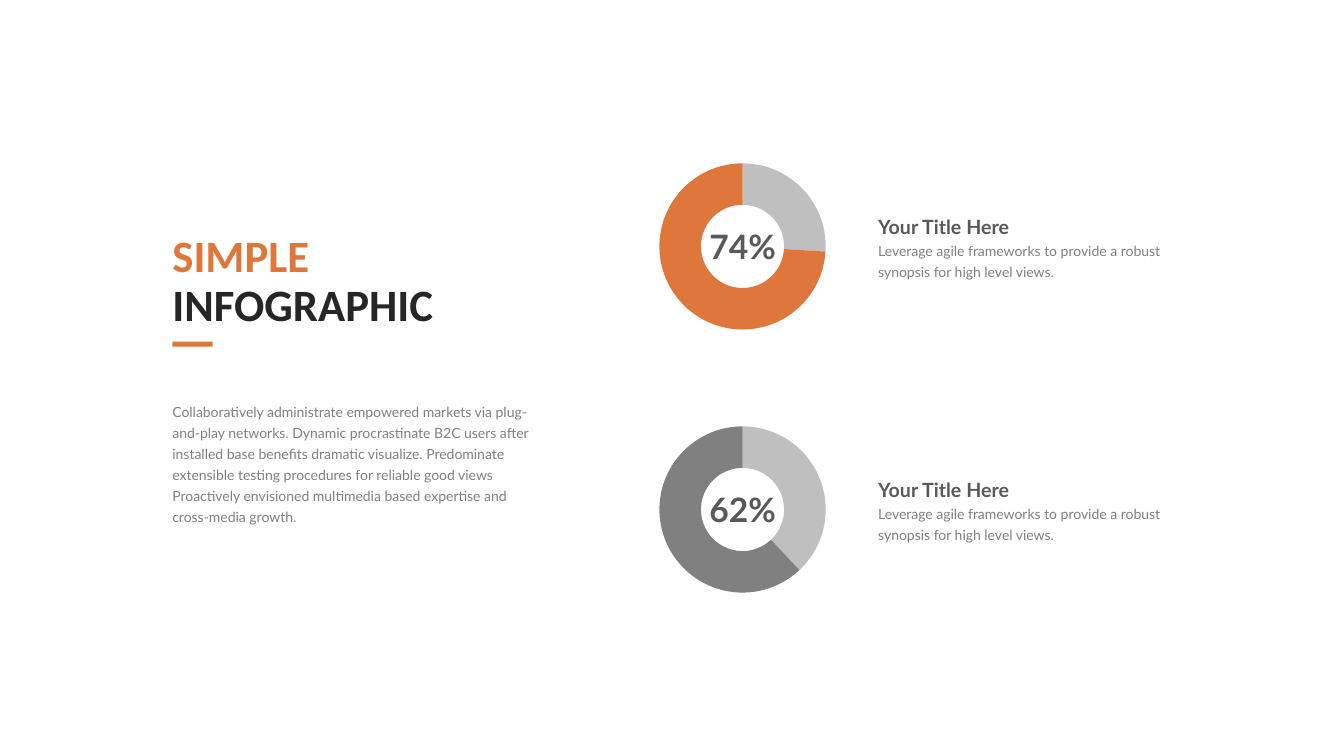
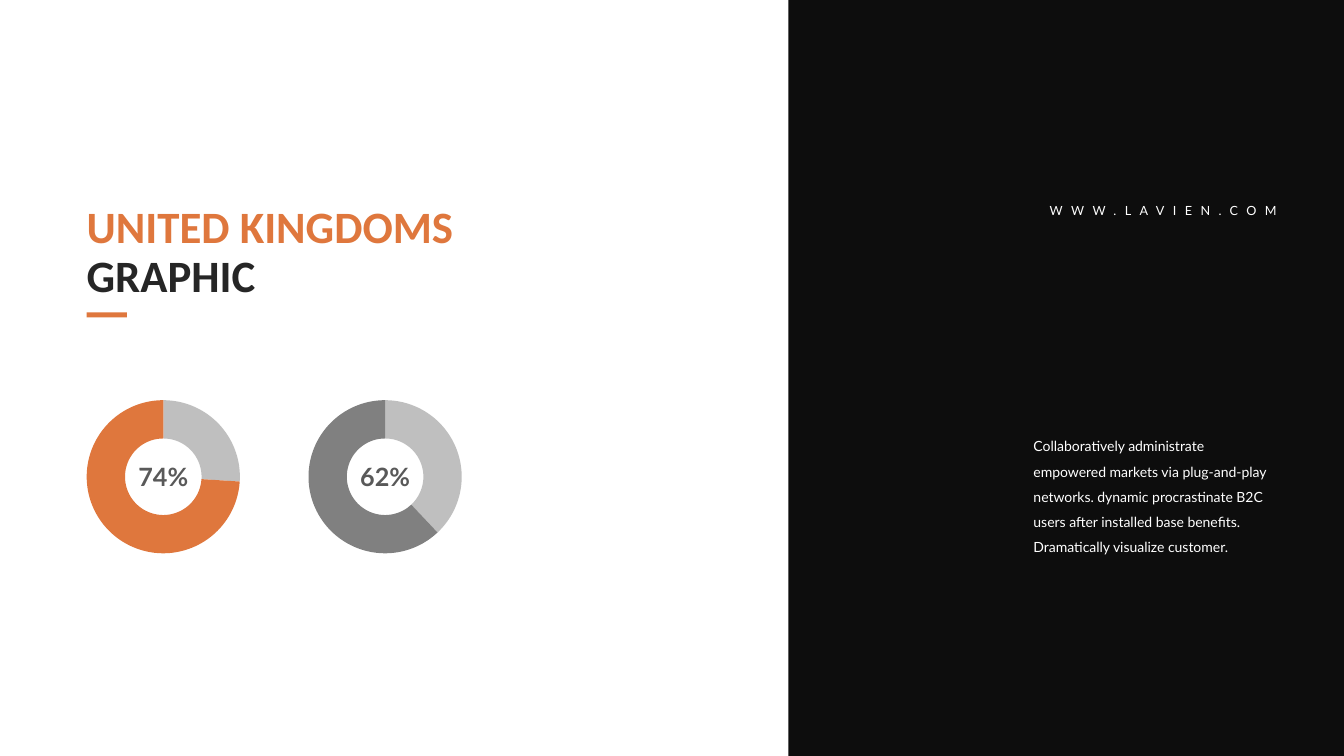
from lxml import etree
from pptx import Presentation
from pptx import util as u
from pptx.chart.data import CategoryChartData
from pptx.dml.color import RGBColor
from pptx.enum import chart as charts, shapes, text
from pptx.oxml.ns import qn

COLORS = {
    "accent": "DF773D",
    "heading": "262626",
    "strong": "595959",
    "body": "808080",
    "rest": "BFBFBF",
    "panel": "0D0D0D",
    "white": "FFFFFF",
}

# Text styles: font values, with colour and line spacing applied separately
STYLES = {
    "title": {"name": "Calibri", "size": u.Pt(32), "bold": True},
    "subtitle": {"name": "Lato", "size": u.Pt(14), "bold": True},
    "body": {"name": "Lato", "size": u.Pt(10), "bold": False},
    "address": {"name": "Lato", "size": u.Pt(9), "bold": False},
    "percent": {"name": "Lato", "size": u.Pt(24), "bold": True},
    "small percent": {"name": "Lato", "size": u.Pt(18), "bold": True},
}

SHARES = [(74, "accent"), (62, "body")]


def color(name):
    return RGBColor.from_string(COLORS[name])


def set_values(target, values):
    for name, value in values.items():
        setattr(target, name, value)


def add_text(slide, box, lines, style, spacing=None, align=text.PP_ALIGN.LEFT,
             **frame_values):
    """Add a text box; lines is a list of (wording, colour name)."""
    frame = slide.shapes.add_textbox(*map(u.Inches, box)).text_frame
    set_values(frame, {
        "margin_left": 0, "margin_right": 0, "margin_top": 0, "margin_bottom": 0,
        "word_wrap": True, "auto_size": text.MSO_AUTO_SIZE.SHAPE_TO_FIT_TEXT,
        **frame_values,
    })
    for index, (wording, color_name) in enumerate(lines):
        paragraph = frame.add_paragraph() if index else frame.paragraphs[0]
        set_values(paragraph, {"alignment": align, "line_spacing": spacing})
        run = paragraph.add_run()
        run.text = wording
        set_values(run.font, STYLES[style])
        run.font.color.rgb = color(color_name)
    return frame


def add_bar(slide, box, color_name):
    shape = slide.shapes.add_shape(shapes.MSO_SHAPE.RECTANGLE, *map(u.Inches, box))
    shape.shadow.inherit = False
    shape.fill.solid()
    shape.fill.fore_color.rgb = color(color_name)
    shape.line.fill.background()


def add_title(slide, left, top, width, first, second):
    """Two-line title with a short accent bar below."""
    add_text(slide, (left, top, width, 0.98), [(first, "accent"), (second, "heading")],
             "title", u.Pt(35), vertical_anchor=text.MSO_ANCHOR.MIDDLE)
    add_bar(slide, (left, top + 1.09, 0.4, 0.05), "accent")


def fill_plot_area(chart):
    """Stretch the ring over the whole chart frame and set its hole."""
    plot_area = chart.plots[0]._element.getparent()
    for layout in plot_area.findall(qn("c:layout")):
        plot_area.remove(layout)
    layout = etree.Element(qn("c:layout"))
    plot_area.insert(0, layout)
    manual = etree.SubElement(layout, qn("c:manualLayout"))
    for tag, value in [("layoutTarget", "inner"), ("xMode", "edge"), ("yMode", "edge"),
                       ("x", "0"), ("y", "0"), ("w", "1"), ("h", "1")]:
        etree.SubElement(manual, qn(f"c:{tag}")).set("val", value)
    ring = chart.plots[0]._element
    hole = ring.find(qn("c:holeSize"))
    if hole is None:
        hole = etree.SubElement(ring, qn("c:holeSize"))
    hole.set("val", "85")


def add_donut(slide, left, top, size, share, color_name, style, label_height):
    """Ring chart with its percentage in the centre."""
    data = CategoryChartData()
    data.categories = ["1", "2"]
    data.add_series("Series 1", (100 - share, share))
    frame = slide.shapes.add_chart(charts.XL_CHART_TYPE.DOUGHNUT,
                                   *map(u.Inches, (left, top, size, size)), data)
    chart = frame.chart
    set_values(chart, {"has_legend": False, "has_title": False})
    set_values(chart.font, {"name": "Calibri", "size": u.Pt(10)})
    chart.font.color.rgb = color("accent")
    plot = chart.plots[0]
    plot.vary_by_categories = True
    for index, name in enumerate(("rest", color_name)):
        point = plot.series[0].points[index].format
        point.fill.solid()
        point.fill.fore_color.rgb = color(name)
        point.line.fill.background()
    fill_plot_area(chart)

    label_width = 0.88
    label_box = (left + (size - label_width) / 2, top + (size - label_height) / 2,
                 label_width, label_height)
    add_text(slide, label_box, [(f"{share}%", "strong")], style,
             align=text.PP_ALIGN.CENTER, word_wrap=False,
             margin_left=u.Inches(0.1), margin_right=u.Inches(0.1),
             margin_top=u.Inches(0.05), margin_bottom=u.Inches(0.05))


def add_caption(slide, left, top):
    add_text(slide, (left, top, 2.91, 0.24), [("Your Title Here", "strong")], "subtitle")
    add_text(slide, (left, top + 0.23, 2.91, 0.4),
             [("Leverage agile frameworks to provide a robust synopsis "
               "for high level views.", "body")], "body", u.Pt(15))


def build_infographic(slide):
    # Title and introduction
    add_title(slide, 1.71, 2.3, 3.2, "SIMPLE", "INFOGRAPHIC")
    add_text(slide, (1.71, 3.96, 3.56, 1.24),
             [("Collaboratively administrate empowered markets via plug-and-play "
               "networks. Dynamic procrastinate B2C users after installed base "
               "benefits dramatic visualize. Predominate extensible testing "
               "procedures for reliable good views Proactively envisioned "
               "multimedia based expertise and cross-media growth.", "body")],
             "body", u.Pt(15))

    # Rings with captions, one above the other
    for row, (share, color_name) in enumerate(SHARES):
        top = 1.62 + row * 2.61
        add_donut(slide, 6.54, top, 1.65, share, color_name, "percent", 0.5)
        add_caption(slide, 8.71, top + 0.51)


def build_country_graphic(slide):
    # Dark side panel
    add_bar(slide, (7.82, 0, 5.51, 7.5), "panel")
    address = add_text(slide, (10.25, 2.01, 2.41, 0.15), [("WWW.LAVIEN.COM", "white")],
                       "address", align=text.PP_ALIGN.RIGHT)
    address.paragraphs[0].runs[0].font._element.set("spc", "600")
    add_text(slide, (10.25, 4.26, 2.41, 1.23),
             [("Collaboratively administrate empowered markets via plug-and-play "
               "networks. dynamic procrastinate B2C users after installed base "
               "benefits. Dramatically visualize customer.", "white")], "body", 1.5)

    # Title and rings side by side
    add_title(slide, 0.86, 2.01, 4.35, "UNITED KINGDOMS", "GRAPHIC")
    for column, (share, color_name) in enumerate(SHARES):
        add_donut(slide, 0.86 + column * 2.2, 3.97, 1.52, share, color_name,
                  "small percent", 0.4)


def main():
    presentation = Presentation()
    presentation.slide_width = u.Inches(13.33)
    presentation.slide_height = u.Inches(7.5)
    blank = presentation.slide_layouts[6]
    for build in (build_infographic, build_country_graphic):
        build(presentation.slides.add_slide(blank))
    presentation.save("out.pptx")


if __name__ == "__main__":
    main()
